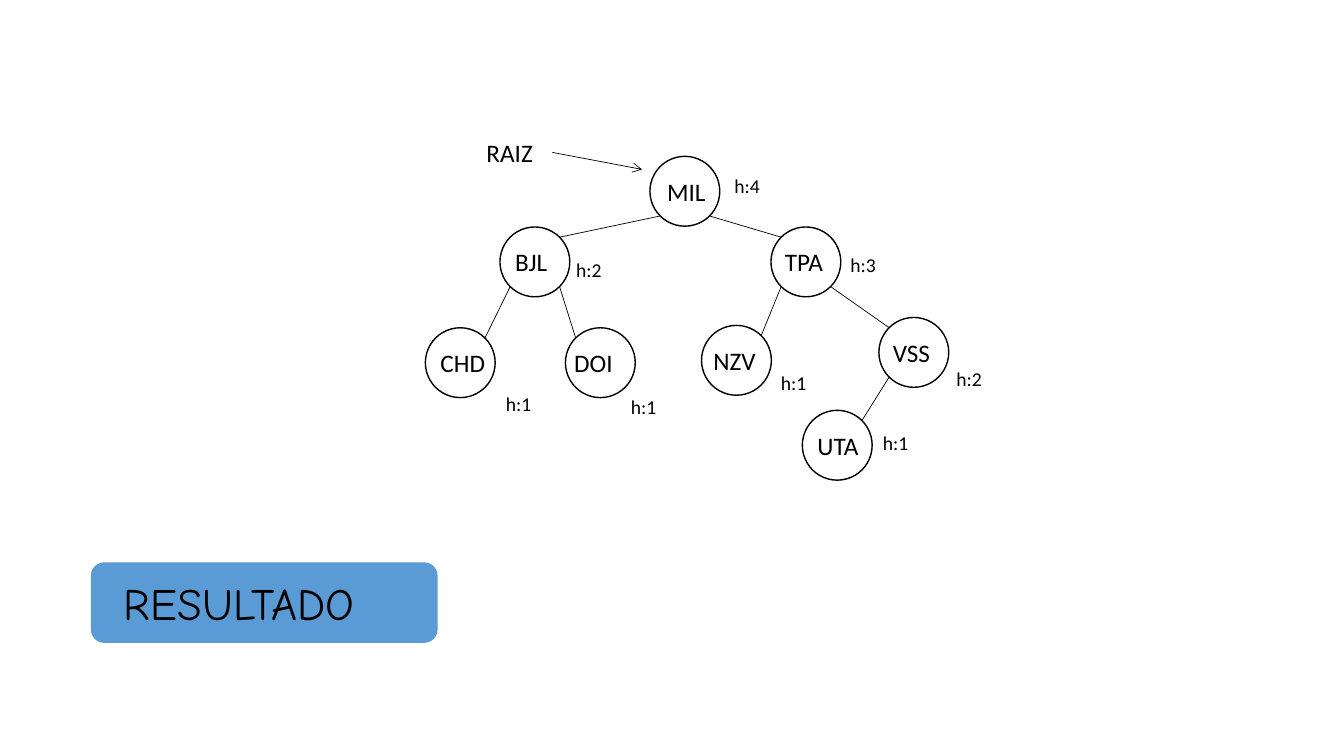
import math
import pptx
import pptx.util
import pptx.dml.color
import pptx.enum.shapes
import pptx.oxml
import pptx.oxml.ns

Cm = pptx.util.Cm
Pt = pptx.util.Pt

nodes = {
    "MIL": dict(at=(16.38, 3.94), shift=0.18, tag="h:4", spot=(18.26, 4.27)),
    "BJL": dict(at=(12.6, 5.72), shift=0.13, tag="h:2", spot=(14.27, 6.38)),
    "TPA": dict(at=(19.43, 5.72), shift=0.1, tag="h:3", spot=(21.18, 6.25)),
    "CHD": dict(at=(10.72, 8.26), shift=0.13, tag="h:1", spot=(12.5, 9.75)),
    "DOI": dict(at=(14.25, 8.26), shift=-0.03, tag="h:1", spot=(15.65, 9.83)),
    "NZV": dict(at=(17.68, 8.2), shift=0.05, tag="h:1", spot=(19.43, 9.22)),
    "VSS": dict(at=(22.15, 8), shift=0.1, tag="h:2", spot=(23.85, 9.12)),
    "UTA": dict(at=(20.22, 10.34), shift=0.13, tag="h:1", spot=(22, 10.74)),
}
edges = [
    ("MIL", "BJL"), ("MIL", "TPA"), ("BJL", "CHD"), ("BJL", "DOI"),
    ("TPA", "NZV"), ("TPA", "VSS"), ("VSS", "UTA"),
]
root = dict(text="RAIZ", box=(12.01, 3.33, 1.88, 1.02), start=(13.92, 3.84), end=(16.18, 4.27))
title = dict(text="RESULTADO", box=(2.87, 14.38, 7.92, 1.63), panel=(2.29, 14.17, 8.74, 2.03))

theme = dict(
    ink="000000", paper="FFFFFF", blue="5B9BD5",
    body="Calibri", head="Comic Neue",
    name=18, tag=14, title=32, thin=0.5, ring=1,
)
size = 1.76
drop = 0.37

deck = pptx.Presentation()
deck.slide_width, deck.slide_height = Cm(33.87), Cm(19.05)
slide = deck.slides.add_slide(deck.slide_layouts[6])
shapes = slide.shapes


def color(key):
    return pptx.dml.color.RGBColor.from_string(theme[key])


def write(text, box, font="body", scale="name"):
    frame = shapes.add_textbox(*map(Cm, box)).text_frame
    frame.word_wrap = True
    run = frame.paragraphs[0].add_run()
    run.text = text
    run.font.name = theme[font]
    run.font.size = Pt(theme[scale])
    run.font.color.rgb = color("ink")


def draw(kind, box, fill, ring=False):
    shape = shapes.add_shape(kind, *map(Cm, box))
    shape.shadow.inherit = False
    shape.fill.solid()
    shape.fill.fore_color.rgb = color(fill)
    if ring:
        shape.line.color.rgb = color("ink")
        shape.line.width = Pt(theme["ring"])
    else:
        shape.line.fill.background()


def link(start, end, arrow=False):
    line = shapes.add_connector(
        pptx.enum.shapes.MSO_CONNECTOR.STRAIGHT, *map(Cm, start + end))
    line.line.color.rgb = color("ink")
    line.line.width = Pt(theme["thin"])
    if arrow:
        tip = pptx.oxml.ns.qn("a:tailEnd")
        line.line._get_or_add_ln().makeelement(tip, {"type": "arrow"})
        stroke = line.line._get_or_add_ln()
        stroke.append(stroke.makeelement(tip, {"type": "arrow"}))
    props = line._element.spPr
    props.append(props.makeelement(pptx.oxml.ns.qn("a:effectLst"), {}))


def rim(name, side, level):
    left, top = nodes[name]["at"]
    half = size / 2
    reach = half * math.sqrt(0.5)
    return left + half + side * reach, top + half + level * reach


for high, low in edges:
    side = 1 if nodes[low]["at"][0] > nodes[high]["at"][0] else -1
    link(rim(high, side, 1), rim(low, -side, -1))

for name, node in nodes.items():
    left, top = node["at"]
    draw(pptx.enum.shapes.MSO_SHAPE.OVAL, (left, top, size, size), "paper", ring=True)
    write(name, (left + node["shift"], top + drop, 1.88, 1.02))
    write(node["tag"], (*node["spot"], 1.52, 0.86), scale="tag")

write(root["text"], root["box"])
link(root["start"], root["end"], arrow=True)
draw(pptx.enum.shapes.MSO_SHAPE.ROUNDED_RECTANGLE, title["panel"], "blue")
write(title["text"], title["box"], font="head", scale="title")

deck.save("out.pptx")
